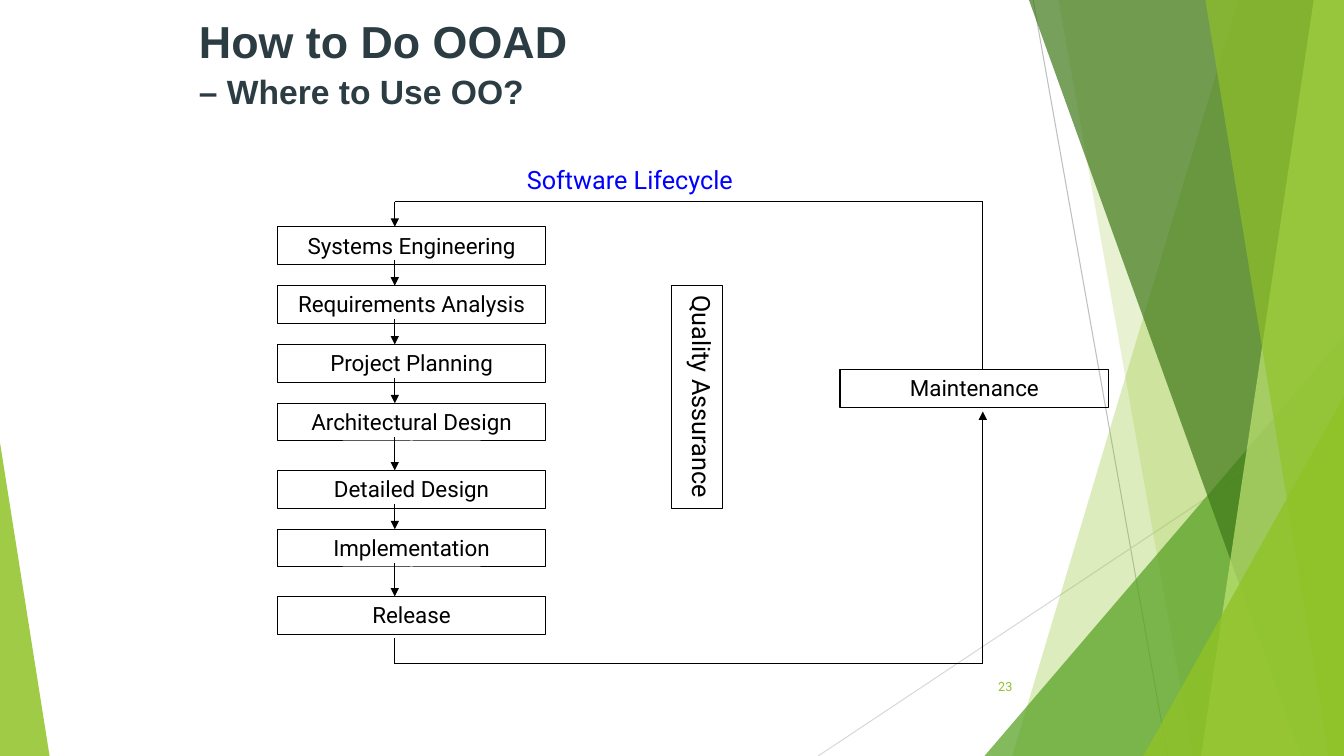
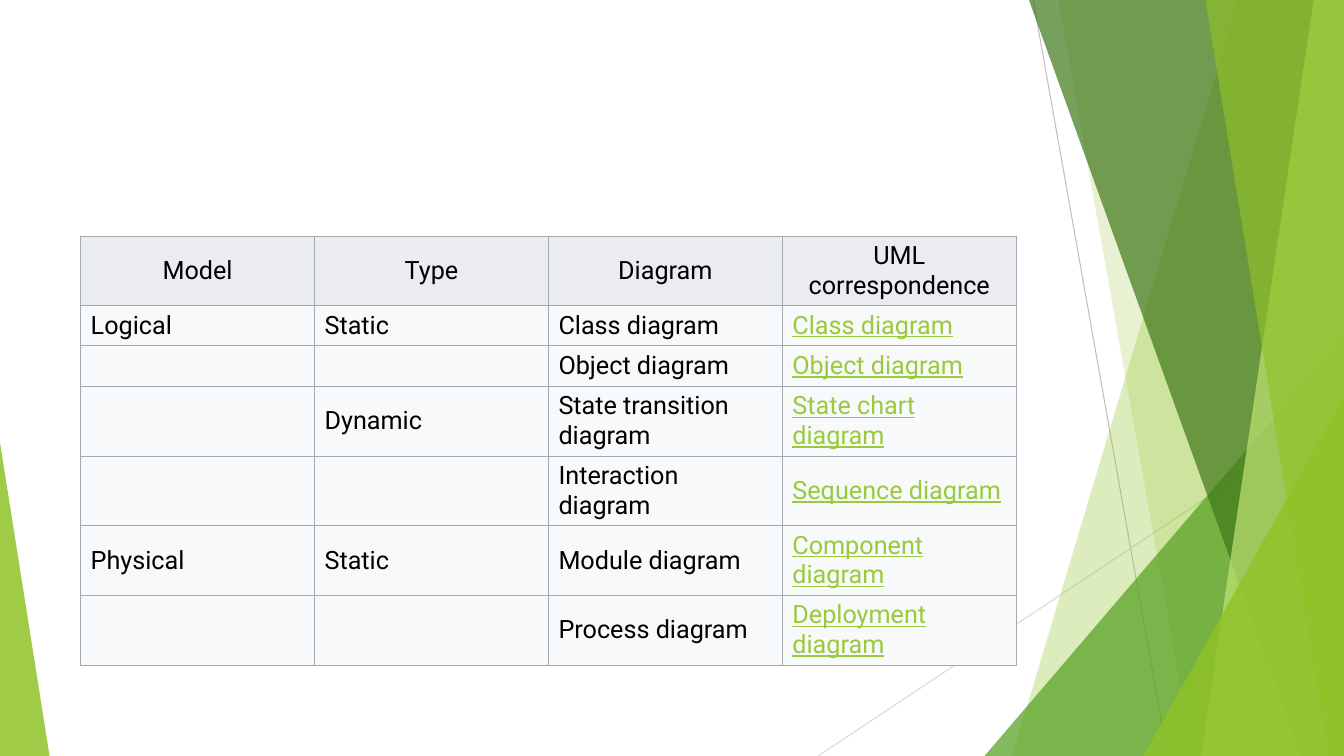
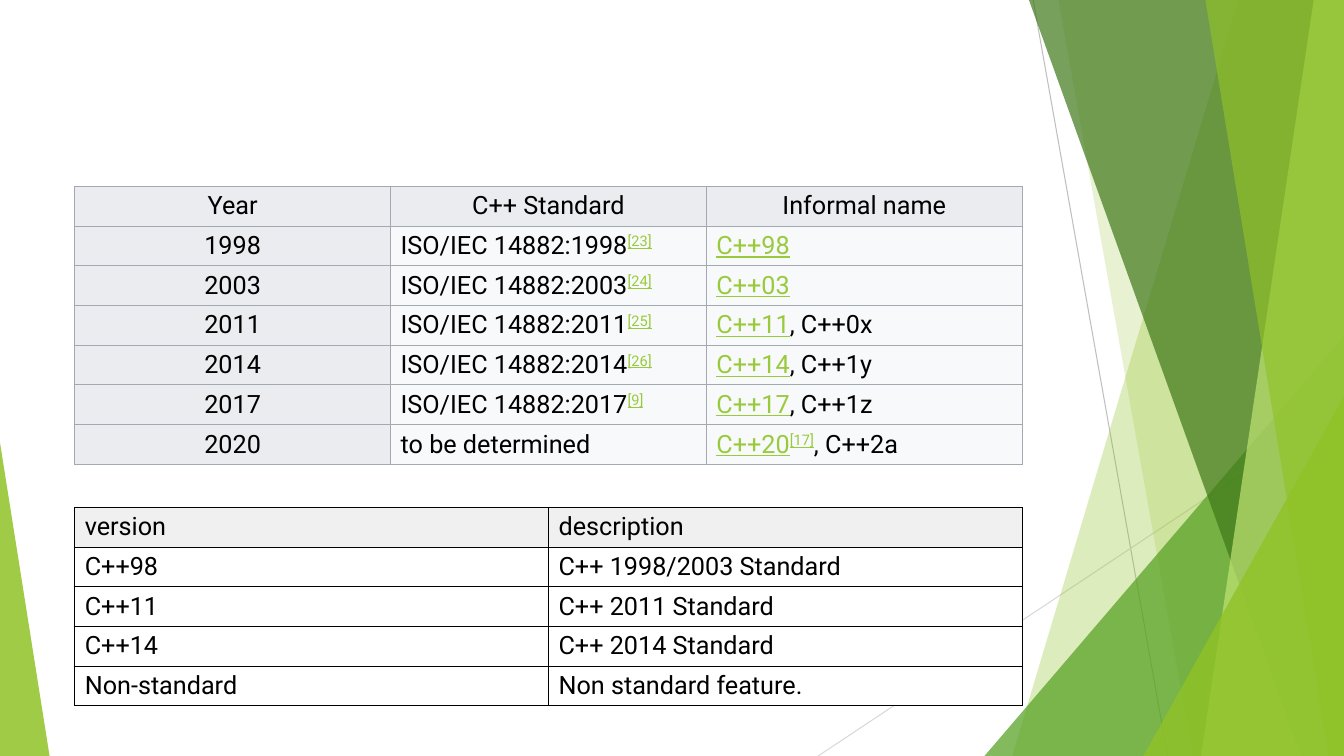
import itertools

import lxml.etree
import pptx
import pptx.dml.color
import pptx.enum.shapes
import pptx.enum.text
import pptx.oxml.ns
import pptx.util

COLUMNS, ROWS = 160, 90
CELL = pptx.util.Inches(1) / 12

BLACK, BLUE, SLATE = "000000", "0000FF", "2C3C43"
GREEN, LINK = "90C226", "99CA3C"
BODY_FONT, TITLE_FONT = "Roboto", "Arial"

ALIGN = pptx.enum.text.PP_ALIGN
ANCHOR = pptx.enum.text.MSO_ANCHOR
SHAPE = pptx.enum.shapes.MSO_SHAPE
qn = pptx.oxml.ns.qn


def cells(*lengths):
    """Grid lengths as EMU."""
    return [pptx.util.Emu(round(length * CELL)) for length in lengths]


def color(hex_code):
    return pptx.dml.color.RGBColor.from_string(hex_code)


def child(parent, tag, **attributes):
    return lxml.etree.SubElement(parent, qn(tag), attributes)


def style(font, size, hex_code, name=BODY_FONT, bold=None):
    font.size = pptx.util.Pt(size)
    font.name = name
    font.bold = bold
    font.color.rgb = color(hex_code)


def add_line(shapes, start, end, hex_code=BLACK, arrow=False):
    line = shapes.add_connector(
        pptx.enum.shapes.MSO_CONNECTOR.STRAIGHT, *cells(*start, *end))
    line.line.color.rgb = color(hex_code)
    line.line.width = pptx.util.Pt(0.75)
    if arrow:
        child(line.line._get_or_add_ln(), "a:tailEnd", type="triangle")
    child(line._element.spPr, "a:effectLst")


def add_route(shapes, *corners):
    """Straight legs through the corners, with an arrowhead at the last."""
    for start, end in itertools.pairwise(corners):
        add_line(shapes, start, end, arrow=end == corners[-1])


def tint(shape, hex_code, opacity):
    shape.shadow.inherit = False
    shape.line.fill.background()
    shape.fill.solid()
    shape.fill.fore_color.rgb = color(hex_code)
    shade = shape._element.spPr.find(".//" + qn("a:srgbClr"))
    child(shade, "a:alpha", val=str(opacity * 1000))


def add_band(shapes, top_left, top_right, bottom_left, hex_code, opacity):
    """A full-height band that reaches the right edge at the bottom."""
    corners = [(top_left, 0), (top_right, 0), (COLUMNS, ROWS), (bottom_left, ROWS)]
    outline = [tuple(cells(*corner)) for corner in corners]
    builder = shapes.build_freeform(*outline[0])
    builder.add_line_segments(outline[1:])
    tint(builder.convert_to_shape(), hex_code, opacity)


def add_wedge(shapes, left, top, right, peak, hex_code, opacity):
    """A triangle on the bottom edge; peak is 0 at its left, 1 at its right."""
    wedge = shapes.add_shape(
        SHAPE.ISOSCELES_TRIANGLE, *cells(left, top, right - left, ROWS - top))
    wedge.adjustments[0] = peak
    tint(wedge, hex_code, opacity)


def add_backdrop(slide):
    shapes = slide.shapes.add_group_shape().shapes
    add_line(shapes, (123, 0), (139, ROWS), "BFBFBF")
    add_line(shapes, (COLUMNS, 48.4), (97.4, ROWS), "D9D9D9")
    add_band(shapes, 147.4, COLUMNS, 120.5, GREEN, 30)
    add_band(shapes, 126, COLUMNS, 142, GREEN, 20)
    add_wedge(shapes, 117.2, 40, COLUMNS, 1, "54A021", 72)
    add_band(shapes, 122.5, COLUMNS, 154.9, "3F7819", 70)
    add_band(shapes, 156.4, COLUMNS, 143, "C0E474", 70)
    add_band(shapes, 143.5, COLUMNS, 158.2, GREEN, 65)
    add_wedge(shapes, 136.1, 47.2, COLUMNS, 1, GREEN, 80)
    add_wedge(shapes, 0, 52.7, 5.9, 0, GREEN, 85)


def new_slide(deck):
    slide = deck.slides.add_slide(deck.slide_layouts[6])
    add_backdrop(slide)
    return slide


def fill_frame(frame, text, size, hex_code, align, anchor=ANCHOR.TOP):
    frame.text = text
    frame.word_wrap = True
    frame.vertical_anchor = anchor
    frame.paragraphs[0].alignment = align
    style(frame.paragraphs[0].runs[0].font, size, hex_code)


def add_label(slide, area, text, size, hex_code, align, anchor=ANCHOR.TOP):
    label = slide.shapes.add_textbox(*cells(*area))
    fill_frame(label.text_frame, text, size, hex_code, align, anchor)


def add_box(slide, area, text, size=16, align=ALIGN.CENTER, vertical=False):
    box = slide.shapes.add_shape(SHAPE.RECTANGLE, *cells(*area))
    box.shadow.inherit = False
    box.fill.background()
    box.line.color.rgb = color(BLACK)
    box.line.width = pptx.util.Pt(0.75)
    fill_frame(box.text_frame, text, size, BLACK, align)
    if vertical:
        box._element.txBody.find(qn("a:bodyPr")).set("vert", "eaVert")


def add_title(slide, heading, subheading):
    frame = slide.shapes.add_textbox(*cells(22.5, 3, 105.2, 12)).text_frame
    frame.text = f"{heading}\n{subheading}"
    frame.word_wrap = True
    frame.vertical_anchor = ANCHOR.MIDDLE
    frame.margin_bottom = pptx.util.Inches(0.31)
    for paragraph, size in zip(frame.paragraphs, (32, 24)):
        style(paragraph.runs[0].font, size, SLATE, TITLE_FONT, bold=True)
    frame.paragraphs[1].space_before = pptx.util.Pt(2)


def link(text):
    return text, "link"


def cite(text):
    return text, "cite"


def write_cell(cell, content, align):
    """Content is a string, or a list of strings, links and citations."""
    cell.vertical_anchor = ANCHOR.MIDDLE
    paragraph = cell.text_frame.paragraphs[0]
    paragraph.alignment = align
    for part in [content] if isinstance(content, (str, tuple)) else content:
        text, kind = (part, "plain") if isinstance(part, str) else part
        if not text:
            paragraph.font.size = pptx.util.Pt(18)
            continue
        run = paragraph.add_run()
        run.text = text
        style(run.font, 18, BLACK if kind == "plain" else LINK)
        run.font.underline = kind != "plain"
        if kind == "cite":
            run.font._element.set("baseline", "30000")


def paint_cell(cell, fill, border, border_width):
    properties = cell._tc.get_or_add_tcPr()
    for side in ("a:lnL", "a:lnR", "a:lnT", "a:lnB"):
        edge = child(properties, side, w=str(pptx.util.Pt(border_width)))
        child(child(edge, "a:solidFill"), "a:srgbClr", val=border)
    cell.fill.solid()
    cell.fill.fore_color.rgb = color(fill)


def add_grid(slide, left, top, width, heights, rows, head_fill="EAECF0",
             body_fill="F8F9FA", border="A2A9B1", border_width=0.75,
             head_align=ALIGN.CENTER, head_columns=0):
    area = cells(left, top, width, sum(heights))
    table = slide.shapes.add_table(len(rows), len(rows[0]), *area).table
    table.first_row = table.horz_banding = False
    for row, height in zip(table.rows, cells(*heights)):
        row.height = height
    for r, contents in enumerate(rows):
        for c, content in enumerate(contents):
            is_head = r == 0 or c < head_columns
            cell = table.cell(r, c)
            write_cell(cell, content, head_align if is_head else ALIGN.LEFT)
            paint_cell(cell, head_fill if is_head else body_fill, border, border_width)


def build_lifecycle(deck):
    slide = new_slide(deck)
    phases = {
        "Systems Engineering": 27,
        "Requirements Analysis": 34,
        "Project Planning": 41,
        "Architectural Design": 48,
        "Detailed Design": 56,
        "Implementation": 63,
        "Release": 71,
    }
    box_width, box_height = 32, 4.5
    flow, loop = 47, 117

    add_label(slide, (112.7, 79.3, 9, 4.8), "23", 9, GREEN, ALIGN.RIGHT, ANCHOR.MIDDLE)
    for phase, top in phases.items():
        add_box(slide, (33, top, box_width, box_height), phase)
    add_box(slide, (100, 44, box_width, box_height), "Maintenance")
    add_box(slide, (80, 34, 6, 26.5), "Quality Assurance", 18, ALIGN.LEFT, vertical=True)
    add_label(slide, (51, 19, 48, 4.8), "Software Lifecycle", 18, BLUE, ALIGN.CENTER)

    for top, next_top in itertools.pairwise(phases.values()):
        add_route(slide.shapes, (flow, top + 4), (flow, next_top))
    add_route(slide.shapes, (flow, 76), (flow, 79), (loop, 79), (loop, 49))
    add_route(slide.shapes, (loop, 44), (loop, 24), (flow, 24), (flow, 27))
    add_title(slide, "How to Do OOAD", "– Where to Use OO?")


def build_diagram_types(deck):
    one_line, two_lines = 4.7, 8.3
    rows = [
        ["Model", "Type", "Diagram", "UML correspondence"],
        ["Logical", "Static", "Class diagram", link("Class diagram")],
        ["", "", "Object diagram", link("Object diagram")],
        ["", "Dynamic", "State transition diagram", link("State chart diagram")],
        ["", "", "Interaction diagram", link("Sequence diagram")],
        ["Physical", "Static", "Module diagram", link("Component diagram")],
        ["", "", "Process diagram", link("Deployment diagram")],
    ]
    heights = [two_lines] + [one_line] * 2 + [two_lines] * 4
    add_grid(new_slide(deck), 9.6, 28.1, 111.4, heights, rows, border_width=0.6)


def build_standards(deck):
    slide = new_slide(deck)
    left, width, row_height = 8.9, 112.8, 4.7
    iso_editions = [
        ("1998", "[23]", "C++98", ""),
        ("2003", "[24]", "C++03", ""),
        ("2011", "[25]", "C++11", ", C++0x"),
        ("2014", "[26]", "C++14", ", C++1y"),
        ("2017", "[9]", "C++17", ", C++1z"),
    ]
    standards = [["Year", "C++ Standard", "Informal name"]]
    for year, source, name, draft in iso_editions:
        informal = [link(name), draft] if draft else link(name)
        standards.append([year, [f"ISO/IEC 14882:{year}", cite(source)], informal])
    standards.append(
        ["2020", "to be determined", [link("C++20"), cite("[17]"), ", C++2a"]])
    versions = [
        ["version", "description"],
        ["C++98", "C++ 1998/2003 Standard"],
        ["C++11", "C++ 2011 Standard"],
        ["C++14", "C++ 2014 Standard"],
        ["Non-standard", "Non standard feature."],
    ]
    add_grid(slide, left, 22.2, width, [row_height] * len(standards), standards,
             head_columns=1)
    add_grid(slide, left, 60.4, width, [row_height] * len(versions), versions,
             head_fill="F0F0F0", body_fill="FFFFFF", border=BLACK,
             head_align=ALIGN.LEFT)


def main():
    deck = pptx.Presentation()
    deck.slide_width, deck.slide_height = cells(COLUMNS, ROWS)
    build_lifecycle(deck)
    build_diagram_types(deck)
    build_standards(deck)
    deck.save("out.pptx")


if __name__ == "__main__":
    main()
